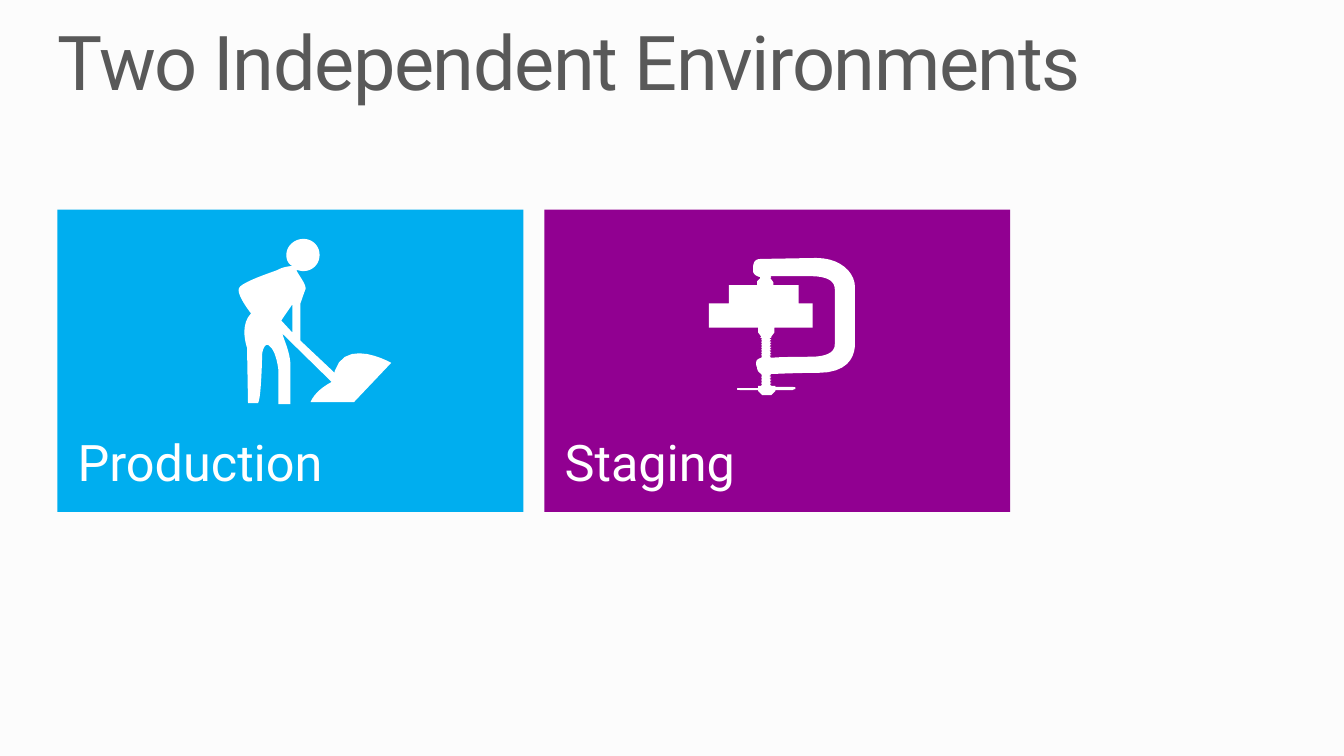
import dataclasses

import pptx
import pptx.dml.color
import pptx.enum.shapes
import pptx.enum.text
import pptx.util


@dataclasses.dataclass(frozen=True)
class Theme:
    font: str = "Roboto"
    background: str = "FCFCFC"
    heading: str = "595959"
    light: str = "FFFFFF"
    production: str = "00AEEF"
    staging: str = "910091"
    title_size: int = 54
    label_size: int = 36


THEME = Theme()
SLIDE_WIDTH, SLIDE_HEIGHT = 13.33, 7.5
MARGIN, GUTTER = 0.57, 0.21
TILE_WIDTH, TILE_HEIGHT, TILE_TOP = 4.62, 3, 2.08
CURVE_STEPS = 10
ICON_UNIT = pptx.util.Inches(0.01)


def thread(root, crest, start, end, teeth):
    pitch = (end - start) / teeth
    points = [(root, start)]
    for tooth in range(teeth):
        top = start + tooth * pitch
        points += [(crest, top + pitch / 2), (root, top + pitch)]
    return points


WORKER = [
    [(98, 131), (98, 133), (64, 101), (64, 64), (64, 64, 67, 55, 69, 50),
     (70, 45, 62, 36, 60, 31), (62, 31, 64, 32, 67, 32), (76, 32, 83, 25, 83, 16),
     (83, 7, 76, 0, 67, 0), (58, 0, 50, 7, 50, 16), (50, 21, 52, 25, 56, 27),
     (51, 27, 44, 29, 41, 31), (36, 33, 5, 43, 3, 49), (0, 55, 15, 74, 15, 74),
     (3, 86, 11, 108, 11, 108), (12, 163), (22, 163), (25, 158, 26, 119, 26, 115),
     (26, 111, 29, 101, 34, 107), (40, 112, 42, 129, 42, 129), (42, 164), (54, 164),
     (54, 123), (53, 111, 48, 101, 46, 94), (95, 142), (93, 143, 79, 150, 74, 162),
     (117, 162), (154, 123), (154, 123, 109, 97, 98, 131)],
    [(56, 93), (45, 81), (49, 75, 56, 65, 56, 65)],
]

CLAMP = [
    [(145, 84), (145, 79, 145, 54, 145, 29), (145, 14, 130, 0, 107, 0),
     (104, 0, 51, 1, 51, 1), (45, 1, 44, 6, 44, 9), (44, 13), (44, 16, 47, 18, 51, 19),
     (51, 20), (48, 23), (48, 27), (20, 27), (20, 45), (0, 45), (0, 69), (103, 69),
     (103, 45), (89, 45), (89, 27), (64, 27), (64, 24), (61, 20), (62, 19), (61, 18),
     (74, 18, 96, 18, 100, 18), (123, 18, 125, 26, 125, 32), (125, 38, 125, 72, 125, 85),
     (126, 98, 105, 98, 101, 98), (98, 98, 73, 98, 62, 99),
     *thread(60, 62, 98, 80, 11),
     (62, 79), (62, 78), (65, 74), (65, 69), (49, 69), (49, 74), (52, 78), (51, 79),
     *thread(53, 52, 80, 98, 11),
     (52, 99), (49, 100, 47, 101, 47, 104), (47, 106, 47, 107, 48, 109),
     (48, 112, 50, 114, 52, 115),
     *thread(53, 52, 115, 127, 8),
     (49, 127), (49, 129), (31, 129), (29, 129, 28, 129, 28, 130),
     (28, 131, 29, 131, 31, 131), (49, 131), (49, 132), (53, 136), (62, 136), (66, 132),
     (66, 131), (83, 131), (85, 130, 86, 130, 86, 130), (86, 129),
     (86, 128, 85, 128, 83, 128), (66, 128), (66, 127),
     *thread(60, 62, 127, 115, 8),
     (62, 115), (70, 115, 84, 114, 108, 114), (145, 114, 145, 90, 145, 84)],
]


def color(value):
    return pptx.dml.color.RGBColor.from_string(value)


def paint(shape, fill):
    shape.shadow.inherit = False
    shape.fill.solid()
    shape.fill.fore_color.rgb = color(fill)
    shape.line.fill.background()


def write_text(shape, text, *, size, fill, anchor, insets=(0, 0, 0, 0),
               line_spacing=None, space_after=None, tracking=None):
    frame = shape.text_frame
    frame.word_wrap = True
    frame.vertical_anchor = anchor
    (frame.margin_left, frame.margin_top, frame.margin_right,
     frame.margin_bottom) = map(pptx.util.Inches, insets)
    paragraph = frame.paragraphs[0]
    paragraph.alignment = pptx.enum.text.PP_ALIGN.LEFT
    paragraph.line_spacing = line_spacing
    paragraph.space_after = space_after
    run = paragraph.add_run()
    run.text = text
    run.font.name = THEME.font
    run.font.size = pptx.util.Pt(size)
    run.font.color.rgb = color(fill)
    if tracking is not None:
        run.font._element.set("spc", str(round(tracking * 100)))


def flatten(outline):
    points = [outline[0]]
    for segment in outline[1:]:
        if len(segment) == 2:
            points.append(segment)
            continue
        controls = [points[-1], segment[:2], segment[2:4], segment[4:]]
        for step in range(1, CURVE_STEPS + 1):
            t = step / CURVE_STEPS
            weights = ((1 - t) ** 3, 3 * t * (1 - t) ** 2, 3 * t * t * (1 - t), t ** 3)
            points.append(tuple(
                sum(weight * control[axis] for weight, control in zip(weights, controls))
                for axis in (0, 1)))
    return points


def add_icon(shapes, outlines, left, top):
    def place(point):
        return (pptx.util.Inches(left) + point[0] * ICON_UNIT,
                pptx.util.Inches(top) + point[1] * ICON_UNIT)

    paths = [[place(point) for point in flatten(outline)] for outline in outlines]
    builder = shapes.build_freeform(*paths[0][0], scale=1.0)
    for index, points in enumerate(paths):
        if index:
            builder.move_to(*points[0])
        builder.add_line_segments(points[1:], close=True)
    paint(builder.convert_to_shape(), THEME.light)


def add_tile(slide, column, label, fill, icon, icon_offset):
    left = MARGIN + column * (TILE_WIDTH + GUTTER)
    group = slide.shapes.add_group_shape()
    tile = group.shapes.add_shape(
        pptx.enum.shapes.MSO_SHAPE.RECTANGLE,
        *map(pptx.util.Inches, (left, TILE_TOP, TILE_WIDTH, TILE_HEIGHT)))
    paint(tile, fill)
    write_text(tile, label, size=THEME.label_size, fill=THEME.light,
               anchor=pptx.enum.text.MSO_ANCHOR.BOTTOM, insets=(0.2, 0, 0.1, 0.2),
               space_after=pptx.util.Pt(12))
    add_icon(group.shapes, icon, left + icon_offset[0], TILE_TOP + icon_offset[1])


def add_title(slide, text):
    title = slide.shapes.title
    title.left, title.top, title.width, title.height = map(
        pptx.util.Inches, (MARGIN, SLIDE_HEIGHT / 30, SLIDE_WIDTH - 2 * MARGIN, 0.82))
    write_text(title, text, size=THEME.title_size, fill=THEME.heading,
               anchor=pptx.enum.text.MSO_ANCHOR.TOP, line_spacing=0.9, tracking=-1)
    title.text_frame.auto_size = pptx.enum.text.MSO_AUTO_SIZE.SHAPE_TO_FIT_TEXT


def main():
    """Build the slide that presents the two environments and save it."""
    presentation = pptx.Presentation()
    presentation.slide_width = pptx.util.Inches(SLIDE_WIDTH)
    presentation.slide_height = pptx.util.Inches(SLIDE_HEIGHT)
    slide = presentation.slides.add_slide(presentation.slide_layouts.get_by_name("Title Only"))
    slide.background.fill.solid()
    slide.background.fill.fore_color.rgb = color(THEME.background)
    add_title(slide, "Two Independent Environments")
    add_tile(slide, 0, "Production", THEME.production, WORKER, (1.77, 0.29))
    add_tile(slide, 1, "Staging", THEME.staging, CLAMP, (1.63, 0.48))
    presentation.save("out.pptx")


if __name__ == "__main__":
    main()
